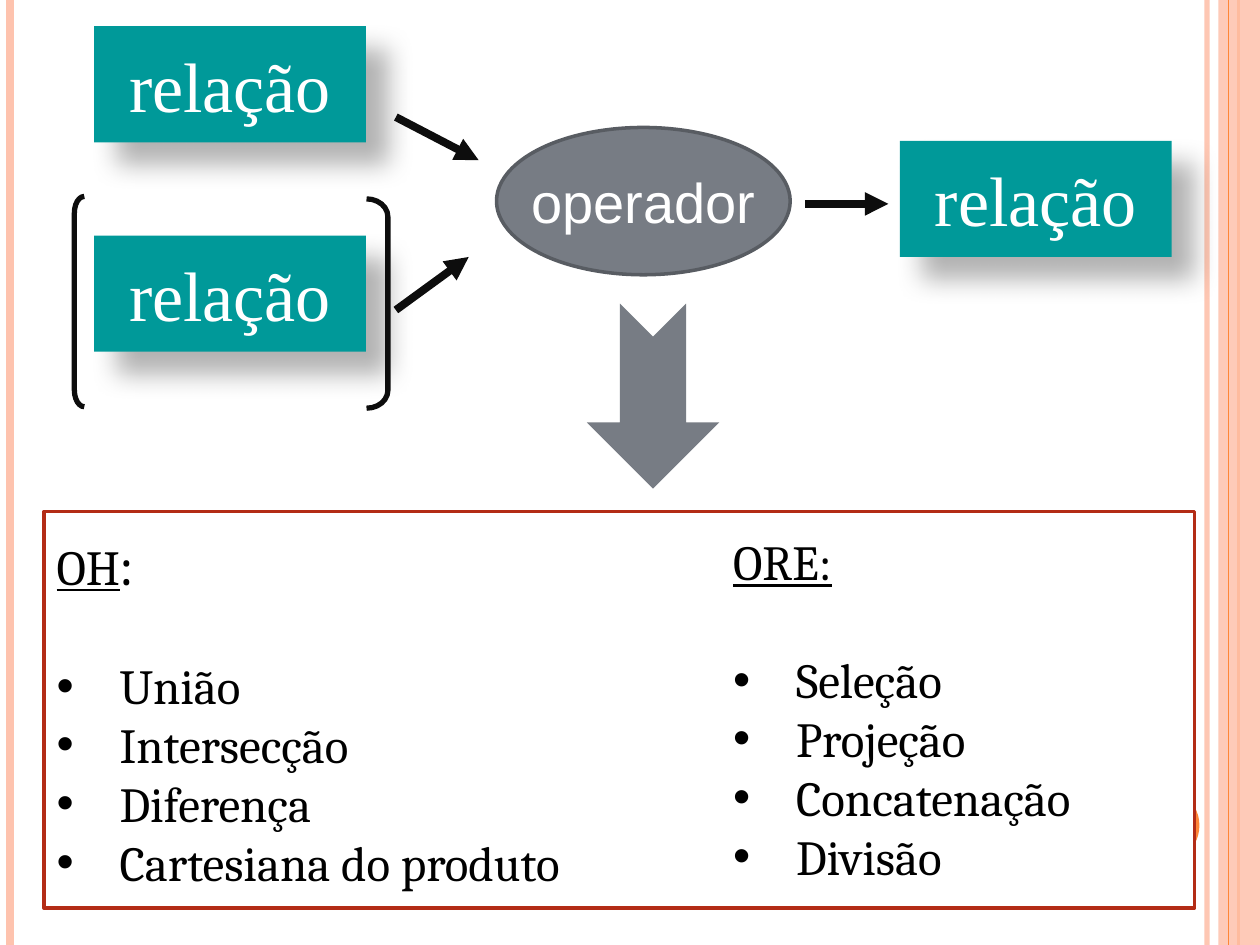
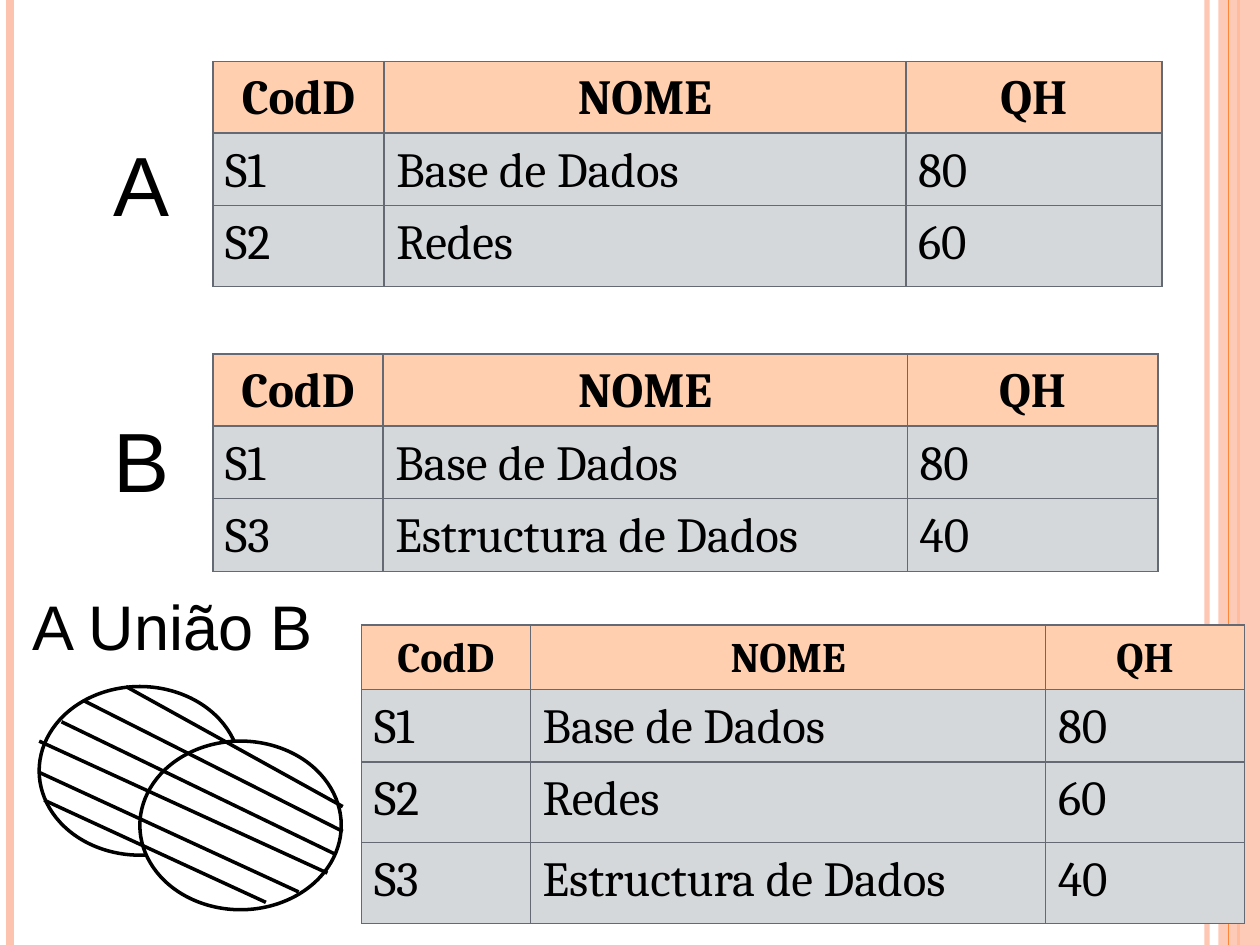
from lxml import etree
from pptx import Presentation
from pptx.dml.color import RGBColor
from pptx.enum.shapes import MSO_CONNECTOR, MSO_SHAPE
from pptx.enum.text import MSO_ANCHOR, PP_ALIGN
from pptx.oxml.ns import qn
from pptx.util import Cm, Pt

RECT, OVAL = MSO_SHAPE.RECTANGLE, MSO_SHAPE.OVAL
LEFT_BRACKET, RIGHT_BRACKET = MSO_SHAPE.LEFT_BRACKET, MSO_SHAPE.RIGHT_BRACKET
NOTCHED_ARROW = MSO_SHAPE.NOTCHED_RIGHT_ARROW
STRAIGHT = MSO_CONNECTOR.STRAIGHT
MIDDLE, BOTTOM = MSO_ANCHOR.MIDDLE, MSO_ANCHOR.BOTTOM
CENTER, LEFT = PP_ALIGN.CENTER, PP_ALIGN.LEFT

rgb = RGBColor.from_string
PEACH, ORANGE, TEAL, GRAY = "FEC3AE", "FE8637", "009999", "777C84"
GRAY_EDGE, INK, RED = "585C62", "0D0D0D", "B32C16"
BLACK, WHITE = "000000", "FFFFFF"
HEADER_FILL, BODY_FILL, CELL_EDGE = "FFCFAF", "D5D8DB", "636A74"
WIDTH, HEIGHT = 25.4, 19.05


def add_shape(slide, kind, box, fill=None, edge=None, edge_width=2):
    shape = slide.shapes.add_shape(kind, *[Cm(v) for v in box])
    shape.shadow.inherit = False
    if fill:
        shape.fill.solid()
        shape.fill.fore_color.rgb = rgb(fill)
    else:
        shape.fill.background()
    if edge:
        shape.line.color.rgb = rgb(edge)
        shape.line.width = Pt(edge_width)
    else:
        shape.line.fill.background()
    return shape


def add_line(slide, ends, color, width, arrow=False):
    line = slide.shapes.add_connector(STRAIGHT, *[Cm(v) for v in ends])
    line.line.color.rgb = rgb(color)
    line.line.width = Pt(width)
    properties = line._element.spPr
    if arrow:
        etree.SubElement(properties.find(qn("a:ln")), qn("a:tailEnd"), type="triangle")
    etree.SubElement(properties, qn("a:effectLst"))
    return line


prs = Presentation()
prs.slide_width, prs.slide_height = Cm(WIDTH), Cm(HEIGHT)
blank = prs.slide_layouts[6]
operator_slide, union_slide = slides = [prs.slides.add_slide(blank) for _ in range(2)]

# Side bands and badge on both slides
for slide in slides:
    inner_stripe = add_line(slide, (24.33, 0, 24.33, HEIGHT), PEACH, 3)
    add_line(slide, (0.2, 0, 0.2, HEIGHT), PEACH, 4.5)
    add_line(slide, (24.97, 0, 24.97, HEIGHT), ORANGE, 1.5)
    band = add_shape(slide, RECT, (24.56, 0, 0.84, HEIGHT), PEACH)
    for part, opacity in ((inner_stripe, 93), (band, 87)):
        tint = part._element.spPr.find(".//" + qn("a:srgbClr"))
        etree.SubElement(tint, qn("a:alpha"), val=str(opacity * 1000))
    add_line(slide, (24.77, 0, 24.77, HEIGHT), ORANGE, 0.75)
    add_shape(slide, OVAL, (22.66, 15.88, 1.52, 1.52), ORANGE)

# Relations with a soft shadow, and the operator
captions = []
for left, top in ((1.9, 4.75), (1.9, 0.53), (18.14, 2.84)):
    relation = add_shape(operator_slide, RECT, (left, top, 5.48, 2.34), TEAL)
    effects = relation._element.spPr.find(qn("a:effectLst"))
    shadow = etree.SubElement(effects, qn("a:outerShdw"), blurRad=str(Pt(15)),
                              dist=str(Pt(18)), dir=str(45 * 60000),
                              algn="ctr", rotWithShape="0")
    shade = etree.SubElement(shadow, qn("a:srgbClr"), val=BLACK)
    etree.SubElement(shade, qn("a:alpha"), val="30000")
    captions.append((relation, "relação", 40, "Times New Roman", 9))
operator = add_shape(operator_slide, OVAL, (10.01, 2.57, 5.92, 2.97), GRAY, GRAY_EDGE)
captions.append((operator, "operador", 32, "Arial", 7))

for shape, text, size, font, space in captions:
    frame = shape.text_frame
    frame.word_wrap = False
    frame.vertical_anchor = MIDDLE
    paragraph = frame.paragraphs[0]
    paragraph.alignment = CENTER
    paragraph.space_before = Pt(space)
    run = paragraph.add_run()
    run.text = text
    run.font.size, run.font.name = Pt(size), font
    run.font.color.rgb = rgb(WHITE)

# Brackets around the optional relation
for kind, box, curve in ((LEFT_BRACKET, (1.5, 3.96, 0.2, 4.24), 1.67),
                         (RIGHT_BRACKET, (7.39, 4.01, 0.43, 4.22), 0.83)):
    bracket = add_shape(operator_slide, kind, box, edge=INK, edge_width=3)
    bracket.adjustments[0] = curve

# Flow arrows
for ends in ((7.98, 6.25, 9.45, 5.18), (7.98, 2.36, 9.65, 3.23),
             (16.23, 4.11, 17.91, 4.11)):
    add_line(operator_slide, ends, INK, 4.5, arrow=True)
down_arrow = add_shape(operator_slide, NOTCHED_ARROW, (11.3, 6.65, 3.73, 2.67), GRAY)
down_arrow.rotation = 90

# Panel listing the operators
add_shape(operator_slide, RECT, (0.89, 10.31, 23.19, 8), WHITE, RED)
operator_lists = (
    ((0.89, 10.54, 12.07, 7.62), (("OH", 28, True), (":", 32, False)),
     ("União", "Intersecção", "Diferença", "Cartesiana do produto")),
    ((14.53, 10.59, 9.04, 7.44), (("ORE:", 28, True),),
     ("Seleção", "Projeção", "Concatenação", "Divisão")),
)
for box, heading, items in operator_lists:
    frame = operator_slide.shapes.add_textbox(*[Cm(v) for v in box]).text_frame
    frame.word_wrap = True
    frame.paragraphs[0].space_after = Pt(34)
    for row, parts in enumerate([heading] + [((item, 28, False),) for item in items]):
        paragraph = frame.add_paragraph() if row else frame.paragraphs[0]
        if row:
            settings = paragraph._p.get_or_add_pPr()
            settings.set("marL", str(Cm(1.27)))
            settings.set("indent", str(-Cm(1.27)))
            etree.SubElement(settings, qn("a:buFont"), typeface="Arial")
            etree.SubElement(settings, qn("a:buChar"), char="•")
        for text, size, underlined in parts:
            run = paragraph.add_run()
            run.text = text
            run.font.size, run.font.name = Pt(size), "Cambria"
            run.font.underline = underlined
            run.font.color.rgb = rgb(BLACK)

# Names of the tables
for text, size, box in (("A", 48, (2.03, 2.51, 1.96, 2.31)),
                        ("B", 48, (2.03, 8.08, 1.96, 2.31)),
                        ("A União B", 36, (0.41, 11.71, 7.19, 1.78))):
    frame = union_slide.shapes.add_textbox(*[Cm(v) for v in box]).text_frame
    frame.word_wrap = True
    frame.vertical_anchor = BOTTOM
    run = frame.paragraphs[0].add_run()
    run.text = text
    run.font.size, run.font.name = Pt(size), "Arial"
    run.font.color.rgb = rgb(BLACK)

# Union diagram: two sets, both hatched
for left, top in ((0.79, 13.84), (2.82, 14.94)):
    add_shape(union_slide, OVAL, (left, top, 4.06, 3.4), WHITE, BLACK)
for hatch in ((0.79, 15.57, 6.02, 17.98), (1.68, 14.12, 6.91, 16.76),
              (0.79, 14.94, 6.6, 17.6), (1.24, 14.55, 6.76, 17.22),
              (0.89, 16.13, 5.36, 18.19), (2.54, 13.84, 6.91, 16.26)):
    add_line(union_slide, hatch, BLACK, 2)

# Tables A, B and their union
header = ("CodD", "NOME", "QH")
databases = ("S1", "Base de Dados", "80")
networks = ("S2", "Redes", "60")
structures = ("S3", "Estructura de Dados", "40")
tables = (
    (4.29, 1.24, (3.45, 10.52, 5.16), (1.39, 1.41, 1.63), 28,
     (header, databases, networks)),
    (4.29, 7.14, (3.43, 10.57, 5.05), (1.45, 1.45, 1.47), 28,
     (header, databases, structures)),
    (7.29, 12.6, (3.4, 10.39, 4.01), (1.29, 1.45, 1.63, 1.63), 24,
     (header, databases, networks, structures)),
)
for left, top, widths, heights, header_size, records in tables:
    table = union_slide.shapes.add_table(
        len(heights), len(widths), Cm(left), Cm(top),
        Cm(sum(widths)), Cm(sum(heights))).table
    for column, width in zip(table.columns, widths):
        column.width = Cm(width)
    for r, (height, record) in enumerate(zip(heights, records)):
        table.rows[r].height = Cm(height)
        is_header = r == 0
        for c, text in enumerate(record):
            cell = table.cell(r, c)
            cell.margin_left = cell.margin_right = Cm(0.25)
            cell.margin_top = Cm(0.28 if is_header else 0.3)
            cell.margin_bottom = Cm(0.13)
            for side in ("lnL", "lnR", "lnT", "lnB"):
                border = etree.SubElement(cell._tc.get_or_add_tcPr(),
                                          qn("a:" + side), w=str(Pt(1)))
                paint = etree.SubElement(border, qn("a:solidFill"))
                etree.SubElement(paint, qn("a:srgbClr"), val=CELL_EDGE)
            cell.fill.solid()
            cell.fill.fore_color.rgb = rgb(HEADER_FILL if is_header else BODY_FILL)
            paragraph = cell.text_frame.paragraphs[0]
            paragraph.alignment = CENTER if is_header else LEFT
            paragraph.line_spacing = 0.87
            run = paragraph.add_run()
            run.text = text
            run.font.size = Pt(header_size if is_header else 28)
            run.font.name, run.font.bold = "Cambria", is_header
            run.font.color.rgb = rgb(BLACK)

prs.save("out.pptx")
